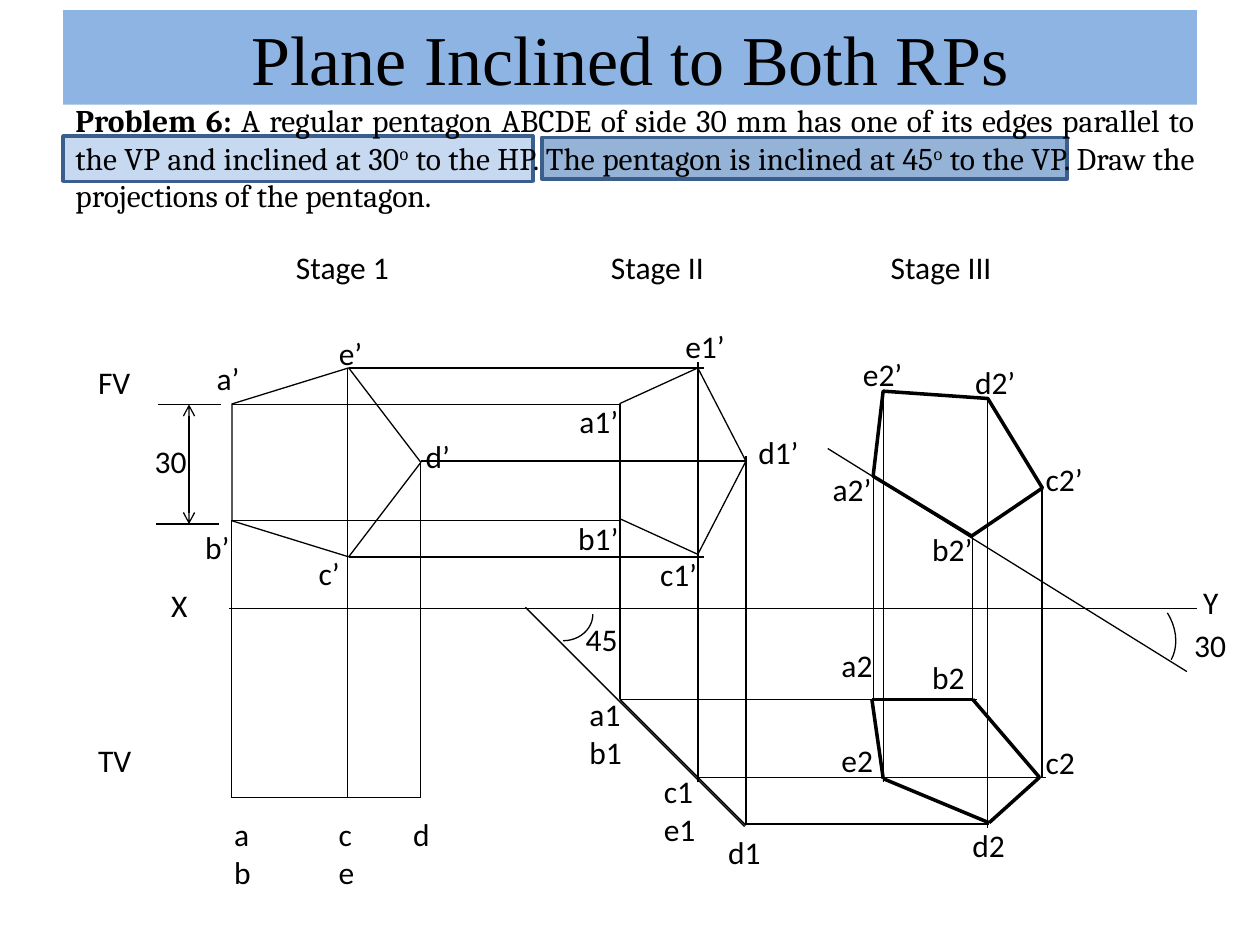
from itertools import pairwise
from lxml import etree
from pptx import Presentation
from pptx.dml.color import RGBColor
from pptx.enum.shapes import MSO_CONNECTOR, MSO_SHAPE
from pptx.enum.text import MSO_ANCHOR, MSO_AUTO_SIZE, PP_ALIGN
from pptx.oxml.ns import qn
from pptx.util import Inches, Pt

COLORS = {"ink": "000000", "title": "8EB4E3", "light": "C6D9F1",
          "mid": "95B3D7", "border": "3A5F8C"}
THIN, THICK = 0.75, 2
LABEL = {"name": "Calibri", "size": Pt(18), "bold": False}
PROBLEM = {"name": "Cambria", "size": Pt(18), "bold": False}
TITLE = {"name": "Times New Roman", "size": Pt(40), "bold": False}

# Heights and positions shared by the views
XY_Y, TV_Y = 4.83, 6.33
A_Y, B_Y, C_Y, D_Y, E_Y = 3.21, 4.13, 4.42, 3.66, 2.92
A1_X, C1_X, D1_X = 4.92, 5.54, 5.92
A1_Y, C1_Y, D1_Y = 5.55, 6.17, 6.54

PROBLEM_RUNS = [
    ("Problem 6:", {"bold": True}, False),
    (" A regular pentagon ABCDE of side 30 mm has one of its edges parallel "
     "to the VP and inclined at 30", {}, False),
    ("o", {}, True),
    (" to the HP. The pentagon is inclined at 45", {}, False),
    ("o", {}, True),
    (" to the VP. Draw the projections of the pentagon. ", {}, False),
]

# Text, left, top, width
LABELS = [
    ("Stage 1", 2.25, 1.92, 0.95), ("Stage II", 4.75, 1.92, 0.95),
    ("Stage III", 6.97, 1.92, 1.01),
    ("FV", 0.68, 2.83, 0.46), ("TV", 0.68, 5.83, 0.47),
    ("X", 1.26, 4.6, 0.56), ("Y", 9.45, 4.58, 0.55),
    ("30", 1.13, 3.46, 0.46), ("45", 4.55, 4.87, 0.52), ("30", 9.38, 4.92, 0.46),
    # Stage 1
    ("a’", 1.62, 2.8, 0.39), ("b’", 1.53, 4.14, 0.4), ("c’", 2.43, 4.35, 0.37),
    ("d’", 3.28, 3.42, 0.4), ("e’", 2.59, 2.6, 0.39),
    ("a\nb", 1.76, 6.42, 0.34), ("c\ne", 2.59, 6.42, 0.33), ("d", 3.18, 6.42, 0.34),
    # Stage II
    ("a1’", 4.5, 3.14, 0.51), ("b1’", 4.49, 4.07, 0.53), ("c1’", 5.14, 4.36, 0.5),
    ("d1’", 5.92, 3.39, 0.53), ("e1’", 5.34, 2.55, 0.52),
    ("a1\nb1", 4.58, 5.47, 0.46), ("c1\ne1", 5.17, 6.08, 0.46), ("d1", 5.68, 6.56, 0.46),
    # Stage III
    ("a2’", 6.51, 3.68, 0.51), ("b2’", 7.3, 4.16, 0.53), ("c2’", 8.2, 3.6, 0.5),
    ("d2’", 7.64, 2.83, 0.53), ("e2’", 6.75, 2.77, 0.52),
    ("a2", 6.58, 5.08, 0.45), ("b2", 7.3, 5.17, 0.46), ("c2", 8.2, 5.85, 0.44),
    ("d2", 7.62, 6.51, 0.46), ("e2", 6.58, 5.83, 0.46),
]

# x, start y, end y
PROJECTORS = [
    (1.84, TV_Y, B_Y), (2.76, TV_Y, E_Y), (3.34, TV_Y, D_Y),
    (A1_X, A1_Y, A_Y), (C1_X, 6.21, 2.87), (D1_X, D1_Y, 3.62),
    (6.93, 3.77, 5.58), (7.01, 3.11, 6.21), (7.84, 3.17, 6.57),
    (8.27, 3.87, 6.17), (7.72, 4.25, 5.55),
]

# y, start x, end x
HORIZONTALS = [
    (XY_Y, 1.82, 9.5), (TV_Y, 1.84, 3.34),
    (A_Y, 1.84, A1_X), (E_Y, 2.77, 5.59), (B_Y, 1.84, A1_X),
    (D_Y, 3.34, D1_X), (C_Y, 2.77, 5.59),
    (A1_Y, A1_X, 7.75), (C1_Y, 5.55, 8.3), (D1_Y, D1_X, 7.85),
    (4.16, 1.24, 1.74), (A_Y, 1.25, 1.75),
]

INCLINED = [(4.17, 4.82, 5.91, 6.56), (9.42, 5.33, 6.57, 3.56)]

# Left, top, width, height, rotation, line width
PENTAGONS = [(1.84, 2.92, 1.5, 1.5, 90, THIN), (4.68, 3.16, 1.48, 1, 90, THIN),
             (6.84, 3.09, 1.48, 1, 31.3, THICK)]

# Left, top, width, height, rotation, start and end of the sweep
ARCS = [(4.26, 4.64, 0.42, 0.47, 90, (162, 0)),
        (8.66, 4.73, 0.72, 0.58, 57.5, (162, 204.31))]

TOP_VIEW = [(6.92, 5.55), (7.72, 5.55), (8.25, 6.17), (7.85, 6.53),
            (7.01, 6.18), (6.92, 5.55)]


def rgb(key):
    return RGBColor.from_string(COLORS[key])


def add_run(p, text, fmt, superscript=False):
    r = p.add_run()
    r.text = text
    for name, value in fmt.items():
        setattr(r.font, name, value)
    r.font.color.rgb = rgb("ink")
    if superscript:
        r.font._element.set("baseline", "30000")


def add_shape(slide, kind, box, fill=None, line="ink", width=THIN, rotation=0):
    sp = slide.shapes.add_shape(kind, *map(Inches, box))
    sp.shadow.inherit = False
    sp.rotation = rotation
    if fill:
        sp.fill.solid()
        sp.fill.fore_color.rgb = rgb(fill)
    else:
        sp.fill.background()
    sp.line.color.rgb = rgb(line)
    sp.line.width = Pt(width)
    return sp


def add_line(slide, x1, y1, x2, y2, width=THIN, arrows=False):
    cn = slide.shapes.add_connector(MSO_CONNECTOR.STRAIGHT,
                                    *map(Inches, (x1, y1, x2, y2)))
    cn.line.color.rgb = rgb("ink")
    cn.line.width = Pt(width)
    if arrows:
        ln = cn.line._get_or_add_ln()
        for end in ("a:headEnd", "a:tailEnd"):
            etree.SubElement(ln, qn(end), type="arrow")
    etree.SubElement(cn._element.spPr, qn("a:effectLst"))


def add_text(slide, box, wrap):
    tf = slide.shapes.add_textbox(*map(Inches, box)).text_frame
    tf.word_wrap = wrap
    tf.auto_size = MSO_AUTO_SIZE.SHAPE_TO_FIT_TEXT
    return tf


def add_label(slide, text, left, top, width):
    lines = text.split("\n")
    tf = add_text(slide, (left, top, width, 0.4 if len(lines) == 1 else 0.71), False)
    for i, line in enumerate(lines):
        add_run(tf.add_paragraph() if i else tf.paragraphs[0], line, LABEL)


def set_title(slide, text):
    sp = slide.shapes.title
    sp.left, sp.top, sp.width, sp.height = map(Inches, (0.5, 0.08, 9, 0.75))
    sp.fill.solid()
    sp.fill.fore_color.rgb = rgb("title")
    tf = sp.text_frame
    tf.vertical_anchor = MSO_ANCHOR.MIDDLE
    tf.auto_size = MSO_AUTO_SIZE.NONE
    p = tf.paragraphs[0]
    p.alignment = PP_ALIGN.CENTER
    add_run(p, text, TITLE)


def add_problem(slide):
    for box, fill in (((0.5, 1.08, 3.73, 0.36), "light"),
                      ((4.3, 1.09, 4.17, 0.33), "mid")):
        add_shape(slide, MSO_SHAPE.RECTANGLE, box, fill, "border", THICK)
    p = add_text(slide, (0.5, 0.75, 9.08, 1.01), True).paragraphs[0]
    p.alignment = PP_ALIGN.JUSTIFY
    for text, extra, superscript in PROBLEM_RUNS:
        add_run(p, text, {**PROBLEM, **extra}, superscript)


def add_drawing(slide):
    # Front views and angle marks
    for *box, rotation, width in PENTAGONS:
        add_shape(slide, MSO_SHAPE.REGULAR_PENTAGON, box, width=width, rotation=rotation)
    for *box, rotation, sweep in ARCS:
        sp = add_shape(slide, MSO_SHAPE.ARC, box, rotation=rotation)
        for i, angle in enumerate(sweep):
            sp.adjustments[i] = angle
    # Construction lines
    for x, y1, y2 in PROJECTORS:
        add_line(slide, x, y1, x, y2)
    for y, x1, x2 in HORIZONTALS:
        add_line(slide, x1, y, x2, y)
    for ends in INCLINED:
        add_line(slide, *ends)
    add_line(slide, A1_X, A1_Y, D1_X, 6.55, 0.8)
    # Side dimension
    add_line(slide, 1.5, 4.16, 1.5, A_Y, arrows=True)
    # Final top view
    for start, end in pairwise(TOP_VIEW):
        add_line(slide, *start, *end, THICK)


def main():
    prs = Presentation()
    prs.slide_width, prs.slide_height = Inches(10), Inches(7.5)
    slide = prs.slides.add_slide(prs.slide_layouts[5])
    set_title(slide, "Plane Inclined to Both RPs")
    add_problem(slide)
    add_drawing(slide)
    for label in LABELS:
        add_label(slide, *label)
    prs.save("out.pptx")


main()
